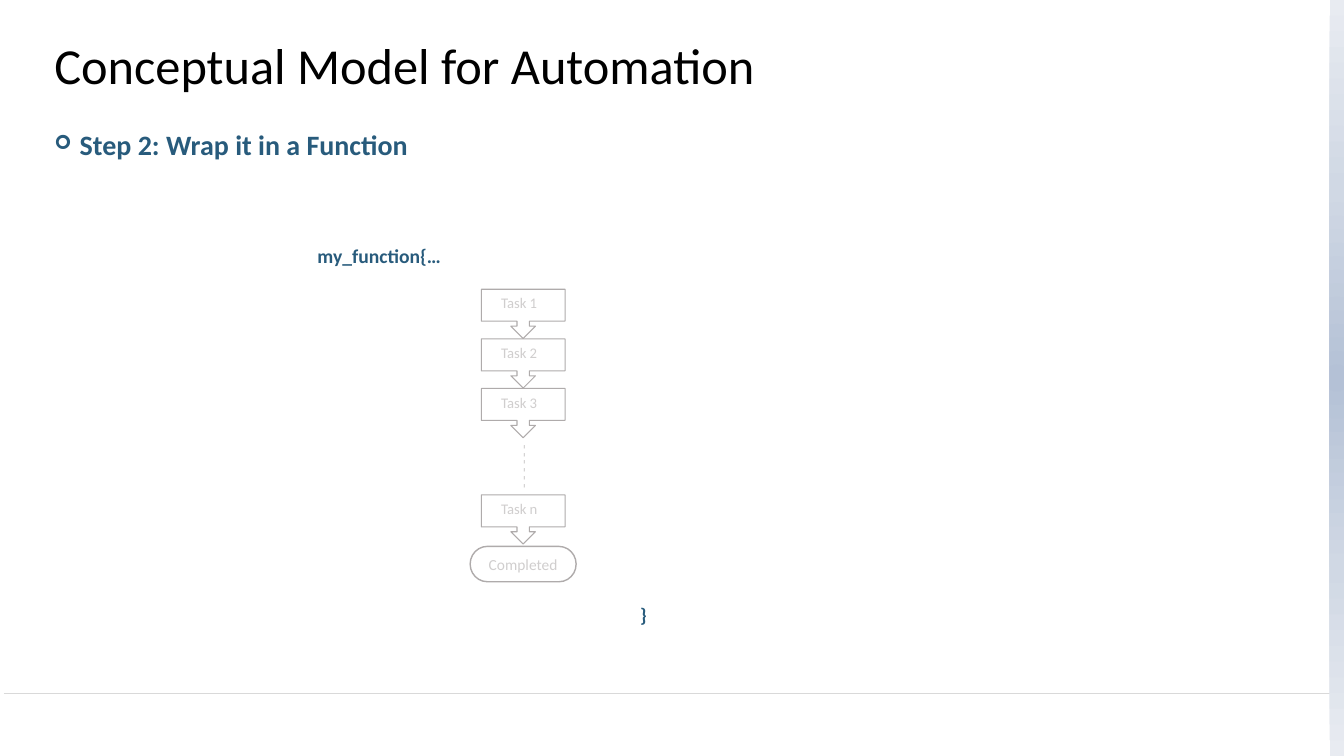
from lxml.etree import SubElement
from pptx import Presentation
from pptx.dml.color import RGBColor
from pptx.enum.shapes import MSO_CONNECTOR, MSO_SHAPE
from pptx.enum.text import MSO_ANCHOR, MSO_AUTO_SIZE, PP_ALIGN
from pptx.oxml import parse_xml
from pptx.oxml.ns import nsdecls, qn
from pptx.util import Cm, Pt

COLORS = {
    "title": "000000", "accent": "285B7C", "label": "D0CECE",
    "outline": "AFABAB", "rule": "D9D9D9", "white": "FFFFFF",
    "bar_middle": "B4C1D6", "bar_between": "D0D8E4", "bar_end": "E8EBF1",
}
FONT = "Calibri"
SLIDE_WIDTH, SLIDE_HEIGHT = 33.87, 19.05
CALLOUT_WIDTH, CALLOUT_HEIGHT = 2.11, 1.24


def color(name):
    return RGBColor.from_string(COLORS[name])


def write(shape, text, size, ink, bold=False, align=PP_ALIGN.LEFT, anchor=MSO_ANCHOR.TOP):
    frame = shape.text_frame
    frame.word_wrap = True
    frame.vertical_anchor = anchor
    para = frame.paragraphs[0]
    para.alignment = align
    span = para.add_run()
    span.text = text
    span.font.name = FONT
    span.font.size = Pt(size)
    span.font.bold = bold
    span.font.color.rgb = color(ink)
    return para


def add_text(slide, box, text, size, ink, grow=True, **text_format):
    """Add a text box at box (left, top, width, height in cm)."""
    shape = slide.shapes.add_textbox(*map(Cm, box))
    write(shape, text, size, ink, **text_format)
    shape.text_frame.auto_size = MSO_AUTO_SIZE.SHAPE_TO_FIT_TEXT if grow else MSO_AUTO_SIZE.NONE
    return shape


def add_outlined(slide, kind, box, weight, fill=None):
    shape = slide.shapes.add_shape(kind, *map(Cm, box))
    shape.shadow.inherit = False
    if fill:
        shape.fill.solid()
        shape.fill.fore_color.rgb = color(fill)
    else:
        shape.fill.background()
    shape.line.color.rgb = color("outline")
    shape.line.width = Pt(weight)
    return shape


def add_bullet(para, mark, ink, percent):
    properties = para._p.get_or_add_pPr()
    properties.set("marL", str(Cm(0.64)))
    properties.set("indent", str(-Cm(0.64)))
    bullet_color = SubElement(properties, qn("a:buClr"))
    SubElement(bullet_color, qn("a:srgbClr"), val=COLORS[ink])
    SubElement(properties, qn("a:buSzPct"), val=str(percent * 1000))
    SubElement(properties, qn("a:buFont"), typeface="Wingdings")
    SubElement(properties, qn("a:buChar"), char=mark)


def add_footer_rule(slide, box):
    left, top, width, _ = box
    rule = slide.shapes.add_connector(
        MSO_CONNECTOR.STRAIGHT, Cm(left), Cm(top), Cm(left + width), Cm(top))
    rule.line.color.rgb = color("rule")
    rule.line.width = Pt(0.5)
    SubElement(rule._element.spPr, qn("a:effectLst"))


def add_side_bar(slide, box):
    """Add the edge bar, shaded from its middle towards both ends."""
    bar = slide.shapes.add_shape(MSO_SHAPE.RECTANGLE, *map(Cm, box))
    bar.shadow.inherit = False
    bar.line.fill.background()
    shades = [(0, "bar_middle"), (50, "bar_between"), (100, "bar_end")]
    stops = "".join(
        f'<a:gs pos="{position * 1000}"><a:srgbClr val="{COLORS[name]}"/></a:gs>'
        for position, name in shades)
    gradient = parse_xml(
        f'<a:gradFill {nsdecls("a")} rotWithShape="1"><a:gsLst>{stops}</a:gsLst>'
        '<a:path path="circle"><a:fillToRect l="50000" t="50000" r="50000" b="50000"/></a:path>'
        '</a:gradFill>')
    bar._element.spPr.find(qn("a:prstGeom")).addnext(gradient)


def add_heading(slide, box):
    left, top, width, height = box
    add_text(slide, (left, top, 28.09, 1.9), "Conceptual Model for Automation", 36, "title",
             grow=False, anchor=MSO_ANCHOR.MIDDLE)
    step = add_text(slide, (left, top + 2.44, width, height - 2.44),
                    "Step 2: Wrap it in a Function", 20, "accent", grow=False, bold=True)
    para = step.text_frame.paragraphs[0]
    para.space_before = Pt(6)
    add_bullet(para, "➢", "accent", 70)


def add_task(slide, left, top, name):
    add_outlined(slide, MSO_SHAPE.DOWN_ARROW_CALLOUT,
                 (left, top, CALLOUT_WIDTH, CALLOUT_HEIGHT), 0.75)
    add_text(slide, (left + 0.25, top, 1.6, 0.74), name, 10.5, "label")


def add_task_chain(slide, box):
    left, top, width, height = box
    task_left = left + (width - CALLOUT_WIDTH) / 2
    for index in range(3):
        add_task(slide, task_left, top + index * 1.25, f"Task {index + 1}")
    dashes = add_text(slide, (task_left + 0.04, top + 3.89, 2.03, 0.71),
                      "- - - - - -", 10.5, "label")
    dashes.rotation = 270
    add_task(slide, task_left, top + 5.18, "Task n")
    end = add_outlined(slide, MSO_SHAPE.FLOWCHART_TERMINATOR,
                       (left, top + height - 0.89, width, 0.89), 1, fill="white")
    write(end, "Completed", 11, "label", align=PP_ALIGN.CENTER, anchor=MSO_ANCHOR.MIDDLE)


def add_function(slide, box):
    """Place the opening and closing code lines around the task chain."""
    left, top, width, height = box
    add_task_chain(slide, (left + 4.1, top + 1.27, 2.67, 7.37))
    add_text(slide, (left, top, 6.5, 0.86), "my_function{…", 14, "accent", bold=True)
    add_text(slide, (left + width - 4.32, top + height - 0.86, 4.32, 0.86), "}", 14, "accent",
             bold=True)


def main():
    deck = Presentation()
    deck.slide_width, deck.slide_height = Cm(SLIDE_WIDTH), Cm(SLIDE_HEIGHT)
    slide = deck.slides.add_slide(deck.slide_layouts[6])
    add_footer_rule(slide, (0.1, 17.48, SLIDE_WIDTH - 0.1, 0))
    add_side_bar(slide, (SLIDE_WIDTH - 0.36, 0, 0.36, SLIDE_HEIGHT))
    add_heading(slide, (1.12, 0.66, 30.53, 4.37))
    add_function(slide, (7.75, 6.02, 12.45, 9.9))
    deck.save("out.pptx")


if __name__ == "__main__":
    main()
